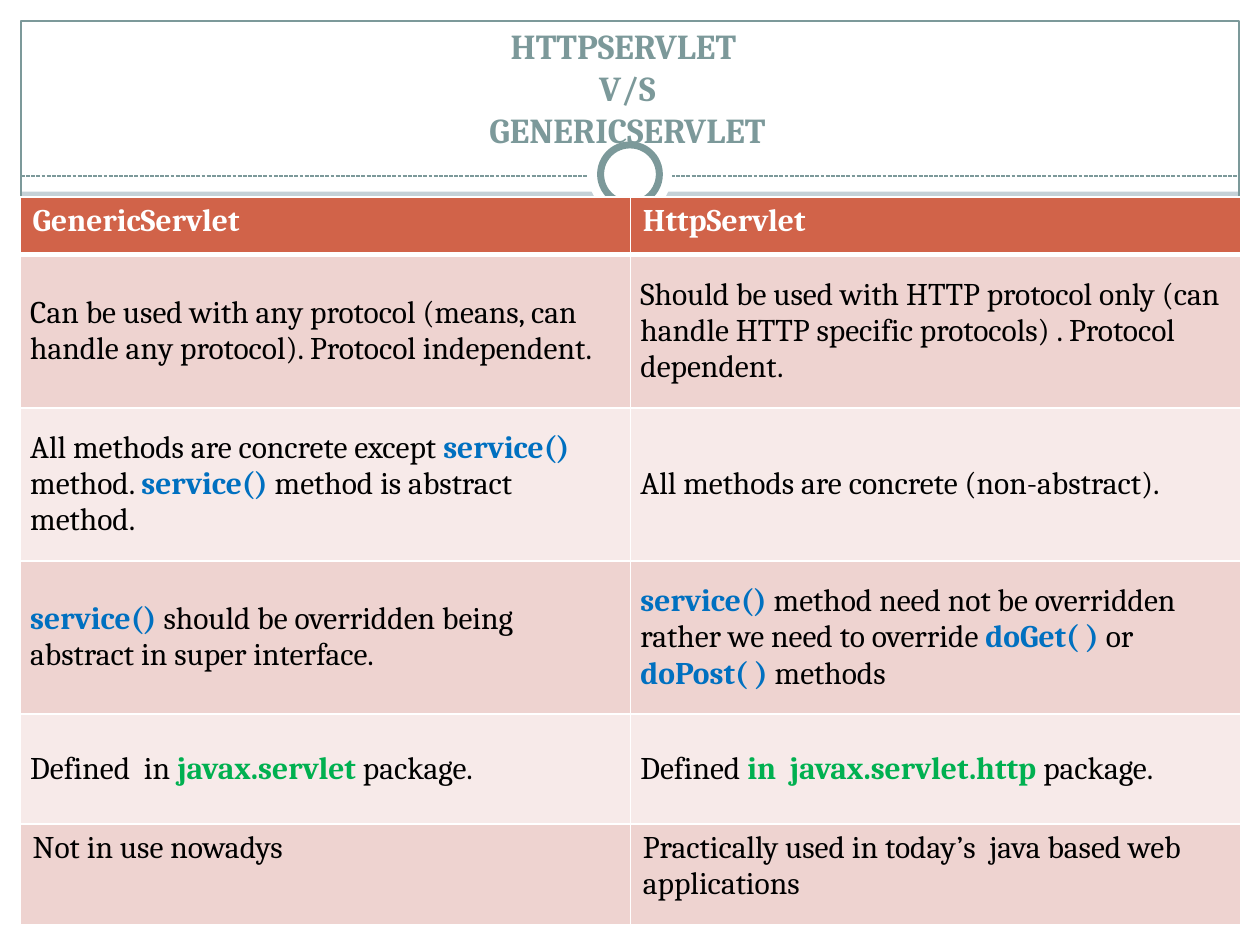
from lxml import etree
from pptx import Presentation
from pptx.dml.color import RGBColor
from pptx.enum import dml, shapes, text
from pptx.oxml.ns import qn
from pptx.util import Pt

WHITE, TEAL, BLACK = "FFFFFF", "7C999A", "000000"
BLUE, GREEN = "0070C0", "00B050"
RECT, OVAL = shapes.MSO_SHAPE.RECTANGLE, shapes.MSO_SHAPE.OVAL


def rgb(value):
    return RGBColor.from_string(value)


def add_run(p, words, size=18, color=BLACK, bold=False):
    r = p.add_run()
    r.text = words
    r.font.name, r.font.size, r.font.bold = "Cambria", Pt(size), bold
    r.font.color.rgb = rgb(color)


prs = Presentation()
prs.slide_width, prs.slide_height = Pt(720), Pt(540)
s = prs.slides.add_slide(prs.slide_layouts[6])
s.background.fill.solid()
s.background.fill.fore_color.rgb = rgb("C5D1D7")

# Margins, footer bar and frame; the ring goes on top of the dashed rule
backdrop = [
    (RECT, 0, 528, 720, 12, WHITE, None),
    (RECT, 0, 0, 720, 109.5, WHITE, None),
    (RECT, 0, 0, 12, 540, WHITE, None),
    (RECT, 708, 0, 12, 540, WHITE, None),
    (RECT, 11.75, 503.5, 695.5, 24.5, "8CADAE", None),
    (RECT, 12, 12, 696, 516, None, 0.75),
]
ring = [
    (OVAL, 336, 75.6, 48, 48, WHITE, None),
    (OVAL, 343.2, 82.8, 33.6, 33.6, WHITE, 4),
]
for kind, x, y, w, h, fill, line in backdrop + ring:
    if (kind, x) == (OVAL, 336):
        rule = s.shapes.add_connector(shapes.MSO_CONNECTOR.STRAIGHT, Pt(12), Pt(100.6), Pt(708), Pt(100.6))
        rule.line.color.rgb, rule.line.width = rgb(TEAL), Pt(0.75)
        rule.line.dash_style = dml.MSO_LINE.SQUARE_DOT
        etree.SubElement(rule._element.spPr, qn("a:effectLst"))
    sp = s.shapes.add_shape(kind, Pt(x), Pt(y), Pt(w), Pt(h))
    sp.shadow.inherit = False
    if fill:
        sp.fill.solid()
        sp.fill.fore_color.rgb = rgb(fill)
    else:
        sp.fill.background()
    if line:
        sp.line.color.rgb, sp.line.width = rgb(TEAL), Pt(line)
    else:
        sp.line.fill.background()

title = s.shapes.add_textbox(Pt(22.5), Pt(11.5), Pt(672), Pt(78))
tf = title.text_frame
tf.word_wrap, tf.vertical_anchor = True, text.MSO_ANCHOR.BOTTOM
p = tf.paragraphs[0]
p.alignment = text.PP_ALIGN.CENTER
for i, words in enumerate(["HTTPSERVLET ", "V/S", "GENERICSERVLET"]):
    if i:
        p.add_line_break()
    add_run(p, words, 20, TEAL, True)

# Text between bars is set bold in the row's accent colour
rows = [
    (33.1, WHITE, "|GenericServlet", "|HttpServlet"),
    (87.5, BLUE, "Can be used with any protocol (means, can handle any protocol). Protocol independent.",
     "Should be used with HTTP protocol only (can handle HTTP specific protocols) . Protocol dependent."),
    (87.5, BLUE, "All methods are concrete except |service() |method. |service() |method is abstract method.",
     "All methods are concrete (non-abstract)."),
    (87.5, BLUE, "|service() |should be overridden being abstract in super interface.",
     "|service() |method need not be overridden rather we need to override |doGet( ) |or |doPost( ) |methods"),
    (62.8, GREEN, "Defined  in |javax.servlet |package.", "Defined |in  javax.servlet.http |package."),
    (57.7, BLUE, "Not in use nowadys", "Practically used in today’s  java based web applications"),
]
frame = s.shapes.add_table(len(rows), 2, Pt(11.5), Pt(112.5), Pt(697.4), Pt(416.1))
table = frame.table
for col in table.columns:
    col.width = Pt(348.7)
for i, (height, accent, *cells) in enumerate(rows):
    table.rows[i].height = Pt(height)
    fill = "D16349" if i == 0 else ("F7EAE9", "EED3D0")[i % 2]
    for j, words in enumerate(cells):
        cell = table.cell(i, j)
        if 0 < i < len(rows) - 1:
            cell.vertical_anchor = text.MSO_ANCHOR.MIDDLE
            cell.margin_left = cell.margin_right = cell.margin_top = cell.margin_bottom = Pt(5.76)
        for k, part in enumerate(words.split("|")):
            if part:
                marked = k % 2 == 1
                add_run(cell.text_frame.paragraphs[0], part, color=accent if marked else BLACK, bold=marked)
        tcPr = cell._tc.get_or_add_tcPr()
        for side in "LRTB":
            heavy = (i, side) in [(0, "B"), (1, "T")]
            ln = etree.SubElement(tcPr, qn(f"a:ln{side}"), w=str(Pt(3 if heavy else 1)))
            etree.SubElement(etree.SubElement(ln, qn("a:solidFill")), qn("a:srgbClr"), val=WHITE)
        cell.fill.solid()
        cell.fill.fore_color.rgb = rgb(fill)

prs.save("out.pptx")
